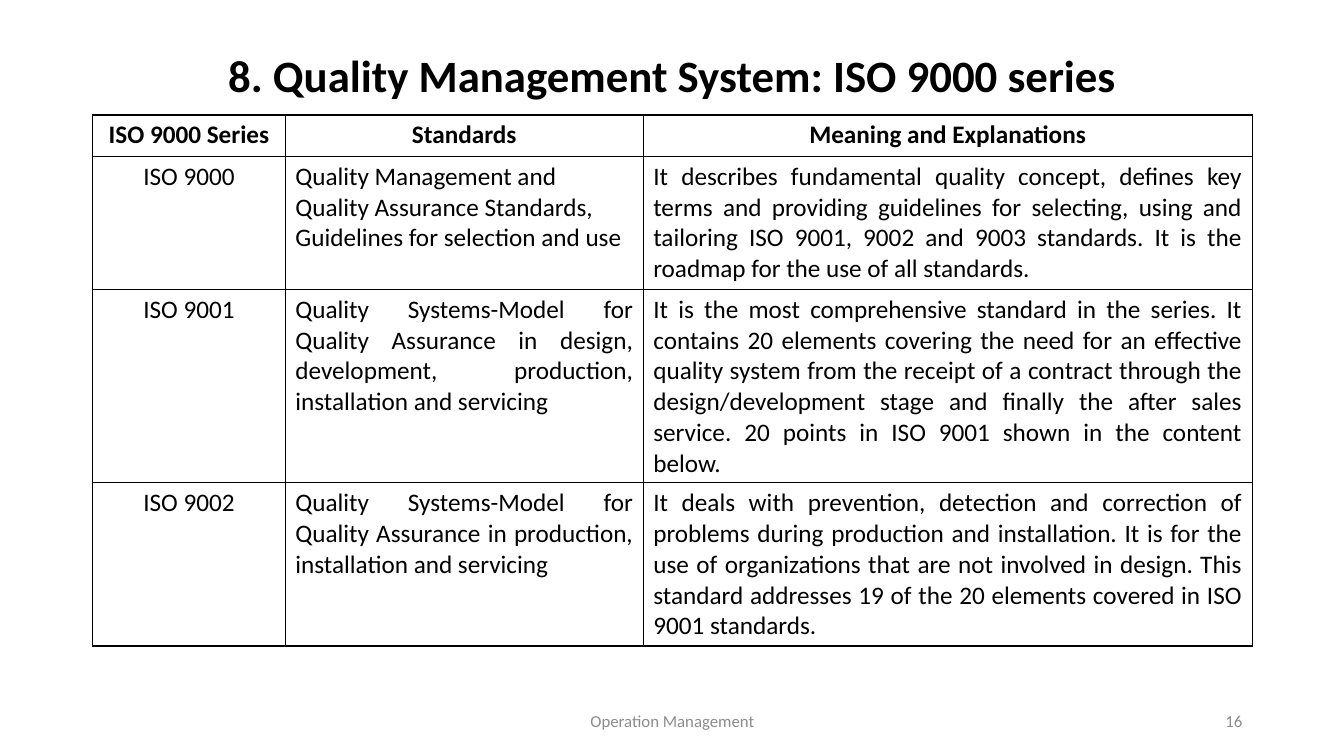
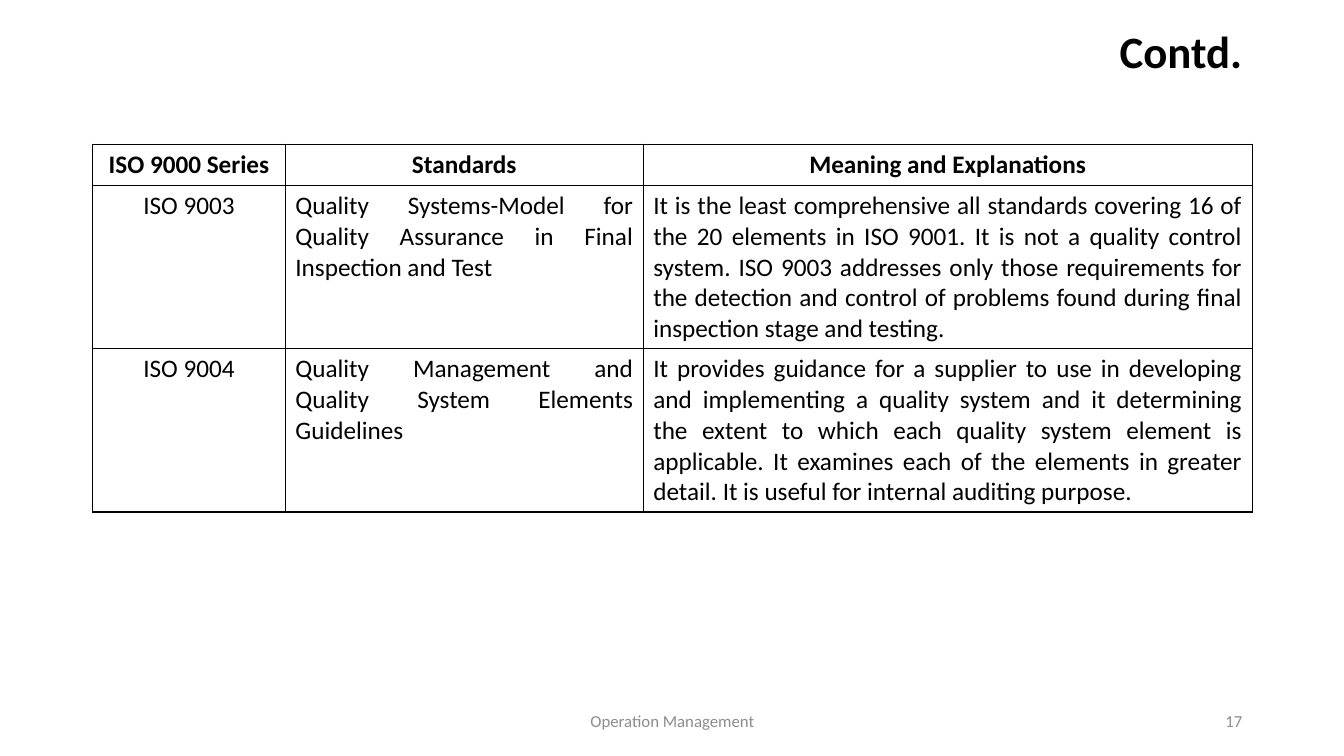
from lxml import etree
from pptx import Presentation
from pptx.dml.color import RGBColor
from pptx.enum.text import MSO_ANCHOR, PP_ALIGN
from pptx.oxml.ns import qn
from pptx.util import Inches, Pt

CENTER, RIGHT, JUSTIFY = PP_ALIGN.CENTER, PP_ALIGN.RIGHT, PP_ALIGN.JUSTIFY
MIDDLE = MSO_ANCHOR.MIDDLE

# Shared style
FONT = "Calibri"
BLACK, GRAY = "000000", "8C8C8C"
LEFT, CONTENT_WIDTH = 0.92, 11.5
COLUMN_WIDTHS = (1.91, 3.55, 6.04)
COLUMN_ALIGNS = (CENTER, JUSTIFY, JUSTIFY)
HEADER_HEIGHT = 0.41
HEADINGS = ("ISO 9000 Series", "Standards", "Meaning and Explanations")

# Rows: height, then series, standard, explanation
FIRST_STANDARDS = [
    (1.32, "ISO 9000",
     "Quality Management and \nQuality Assurance Standards, \n"
     "Guidelines for selection and use",
     "It describes fundamental quality concept, defines key terms and providing "
     "guidelines for selecting, using and tailoring ISO 9001, 9002 and 9003 "
     "standards. It is the roadmap for the use of all standards."),
    (1.92, "ISO 9001",
     "Quality Systems-Model for Quality Assurance in design, development, "
     "production, installation and servicing",
     "It is the most comprehensive standard in the series. It contains 20 elements "
     "covering the need for an effective quality system from the receipt of a "
     "contract through the design/development stage and finally the after sales "
     "service. 20 points in ISO 9001 shown in the content below."),
    (1.62, "ISO 9002",
     "Quality Systems-Model for Quality Assurance in production, installation and "
     "servicing",
     "It deals with prevention, detection and correction of problems during "
     "production and installation. It is for the use of organizations that are not "
     "involved in design. This standard addresses 19 of the 20 elements covered in "
     "ISO 9001 standards."),
]
REMAINING_STANDARDS = [
    (1.62, "ISO 9003",
     "Quality Systems-Model for Quality Assurance in Final Inspection and Test",
     "It is the least comprehensive all standards covering 16 of the 20 elements in "
     "ISO 9001. It is not a quality control system. ISO 9003 addresses only those "
     "requirements for the detection and control of problems found during final "
     "inspection stage and testing."),
    (1.62, "ISO 9004",
     "Quality Management and Quality System Elements Guidelines",
     "It provides guidance for a supplier to use in developing and implementing a "
     "quality system and it determining the extent to which each quality system "
     "element is applicable. It examines each of the elements in greater detail. It "
     "is useful for internal auditing purpose."),
]


def color(hex_value):
    return RGBColor.from_string(hex_value)


def write(frame, text, size, align, bold=False, ink=BLACK, spacing=None):
    frame.text = text
    for paragraph in frame.paragraphs:
        paragraph.alignment = align
        paragraph.line_spacing = spacing
        for run in paragraph.runs:
            run.font.name = FONT
            run.font.size = Pt(size)
            run.font.bold = bold
            run.font.color.rgb = color(ink)


def add_label(slide, box, text, size, align, **style):
    frame = slide.shapes.add_textbox(*map(Inches, box)).text_frame
    frame.word_wrap = True
    frame.vertical_anchor = MIDDLE
    write(frame, text, size, align, **style)


def outline(cell):
    """Clear the cell's fill and rule all four sides in black."""
    cell.fill.background()
    properties = cell._tc.get_or_add_tcPr()
    for position, side in enumerate(("a:lnL", "a:lnR", "a:lnT", "a:lnB")):
        line = etree.Element(qn(side), w=str(Pt(1)))
        solid = etree.SubElement(line, qn("a:solidFill"))
        etree.SubElement(solid, qn("a:srgbClr"), val=BLACK)
        properties.insert(position, line)


def add_standards_table(slide, top, standards):
    rows = [(HEADER_HEIGHT, *HEADINGS), *standards]
    height = sum(row[0] for row in rows)
    table = slide.shapes.add_table(
        len(rows), len(HEADINGS), Inches(LEFT), Inches(top),
        Inches(CONTENT_WIDTH), Inches(height)).table
    table.horz_banding = False
    for column, width in zip(table.columns, COLUMN_WIDTHS):
        column.width = Inches(width)
    for index, (row_height, *texts) in enumerate(rows):
        table.rows[index].height = Inches(row_height)
        is_header = index == 0
        for cell, text, align in zip(table.rows[index].cells, texts, COLUMN_ALIGNS):
            write(cell.text_frame, text, 18, CENTER if is_header else align,
                  bold=is_header)
            outline(cell)


def add_standards_slide(deck, number, title, title_top, title_align, table_top,
                        standards):
    slide = deck.slides.add_slide(deck.slide_layouts[6])
    # Title
    add_label(slide, (LEFT, title_top, CONTENT_WIDTH, 0.74), title, 32, title_align,
              bold=True, spacing=0.9)
    add_standards_table(slide, table_top, standards)
    # Footer
    add_label(slide, (4.42, 6.95, 4.5, 0.4), "Operation Management", 12, CENTER,
              ink=GRAY)
    add_label(slide, (9.42, 6.95, 3, 0.4), str(number), 12, RIGHT, ink=GRAY)


def main():
    deck = Presentation()
    deck.slide_width, deck.slide_height = Inches(13.33), Inches(7.5)
    add_standards_slide(deck, 16, "8. Quality Management System: ISO 9000 series",
                        0.4, CENTER, 1.14, FIRST_STANDARDS)
    add_standards_slide(deck, 17, "Contd.", 0.17, RIGHT, 1.43, REMAINING_STANDARDS)
    deck.save("out.pptx")


if __name__ == "__main__":
    main()
